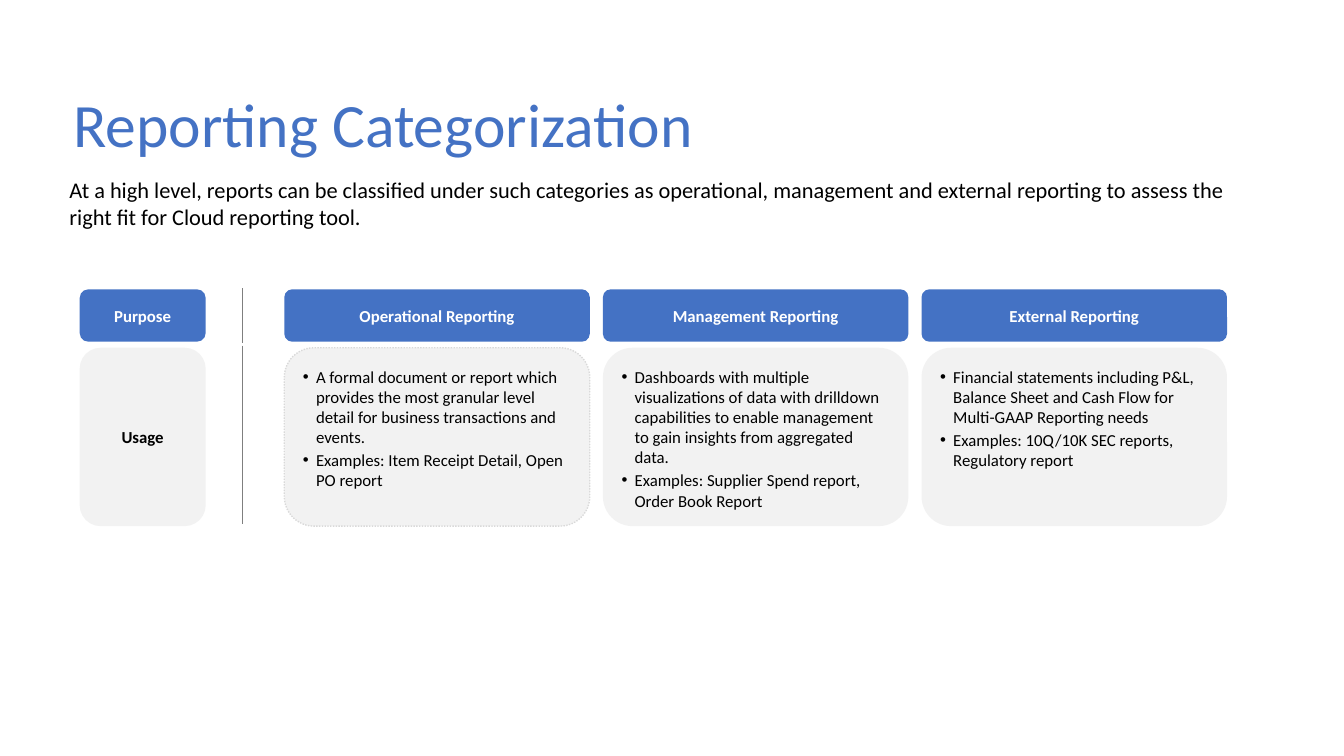
from dataclasses import dataclass

from pptx import Presentation
from pptx.dml.color import RGBColor as Rgb
from pptx.enum.dml import MSO_LINE as Dash
from pptx.enum.shapes import MSO_CONNECTOR as Conn, MSO_SHAPE as Shape
from pptx.enum.text import MSO_ANCHOR as Anchor, PP_ALIGN as Align
from pptx.oxml.ns import qn
from pptx.util import Inches, Pt
from lxml.etree import SubElement


@dataclass(frozen=True)
class Theme:
    """Colours, type sizes and font of the slide."""
    blue: str = "4472C4"
    pale: str = "F2F2F2"
    edge: str = "D9D9D9"
    rule: str = "7F7F7F"
    black: str = "000000"
    white: str = "FFFFFF"
    font: str = "Calibri"
    title: int = 44
    lead: int = 16
    body: int = 12


THEME = Theme()
HEAD_TOP, HEAD_TALL = 2.87, 0.52
BODY_TOP, BODY_TALL = 3.45, 1.77
LABEL_LEFT, LABEL_WIDE = 0.79, 1.25
COL_LEFT, COL_WIDE, COL_STEP = 2.82, 3.03, 3.16
RULE_LEFT = 2.41

COLUMNS = [
    ("Operational Reporting", [
        "A formal document or report which provides the most granular level "
        "detail for business transactions and events.",
        "Examples: Item Receipt Detail, Open PO report"]),
    ("Management Reporting", [
        "Dashboards with multiple visualizations of data with drilldown "
        "capabilities to enable management to gain insights from aggregated data.",
        "Examples: Supplier Spend report, Order Book Report"]),
    ("External Reporting", [
        "Financial statements including P&L, Balance Sheet and Cash Flow for "
        "Multi-GAAP Reporting needs",
        "Examples: 10Q/10K SEC reports, Regulatory report"]),
]


def style(para, size, color, bold=False):
    """Set the font of a paragraph."""
    font = para.font
    font.name, font.size, font.bold = THEME.font, Pt(size), bold
    font.color.rgb = Rgb.from_string(color)


def add_text(slide, text, box, size, color, anchor=Anchor.TOP):
    """Add a wrapped text box with one paragraph and return the paragraph."""
    frame = slide.shapes.add_textbox(*map(Inches, box)).text_frame
    frame.word_wrap = True
    frame.vertical_anchor = anchor
    para = frame.paragraphs[0]
    para.text = text
    style(para, size, color)
    return para


def add_card(slide, box, fill):
    """Add a plain rounded card with even margins."""
    card = slide.shapes.add_shape(Shape.ROUNDED_RECTANGLE, *map(Inches, box))
    card.shadow.inherit = False
    card.fill.solid()
    card.fill.fore_color.rgb = Rgb.from_string(fill)
    card.line.fill.background()
    frame = card.text_frame
    frame.word_wrap = True
    frame.margin_left = frame.margin_right = Inches(0.1)
    frame.margin_top = frame.margin_bottom = Inches(0.1)
    return card


def add_label(slide, text, box, fill, color):
    """Add a card with a bold centred label."""
    card = add_card(slide, box, fill)
    card.text_frame.vertical_anchor = Anchor.MIDDLE
    para = card.text_frame.paragraphs[0]
    para.text = text
    para.alignment = Align.CENTER
    style(para, THEME.body, color, True)
    return card


def add_list(slide, items, box):
    """Add a pale card with a bulleted list."""
    card = add_card(slide, box, THEME.pale)
    frame = card.text_frame
    frame.vertical_anchor = Anchor.TOP
    for num, item in enumerate(items):
        para = frame.add_paragraph() if num else frame.paragraphs[0]
        para.text = item
        para.alignment = Align.LEFT
        para.space_before = Pt(1 if num else 0)
        para.space_after = Pt(1)
        props = para._p.get_or_add_pPr()
        props.set("marL", str(Inches(0.13)))
        props.set("indent", str(-Inches(0.13)))
        SubElement(props, qn("a:buFont"), typeface="Arial")
        SubElement(props, qn("a:buChar"), char="•")
        style(para, THEME.body, THEME.black)
    return card


def add_rule(slide, left, top, end):
    """Add a thin vertical line."""
    line = slide.shapes.add_connector(
        Conn.STRAIGHT, *map(Inches, (left, top, left, end)))
    line.line.color.rgb = Rgb.from_string(THEME.rule)
    line.line.width = Pt(0.75)
    SubElement(line._element.spPr, qn("a:effectLst"))


def main():
    """Build the slide and save it."""
    deck = Presentation()
    deck.slide_width, deck.slide_height = Inches(13.33), Inches(7.5)
    slide = deck.slides.add_slide(deck.slide_layouts[6])

    title = add_text(slide, "Reporting Categorization", (0.63, 0.83, 11.46, 0.87),
                     THEME.title, THEME.blue, Anchor.MIDDLE)
    title.line_spacing = 0.9
    add_text(slide, "At a high level, reports can be classified under such "
             "categories as operational, management and external reporting to "
             "assess the right fit for Cloud reporting tool.",
             (0.59, 1.7, 12.11, 0.64), THEME.lead, THEME.black)

    add_label(slide, "Purpose", (LABEL_LEFT, HEAD_TOP, LABEL_WIDE, HEAD_TALL),
              THEME.blue, THEME.white)
    add_label(slide, "Usage", (LABEL_LEFT, BODY_TOP, LABEL_WIDE, BODY_TALL),
              THEME.pale, THEME.black)
    add_rule(slide, RULE_LEFT, 2.86, 3.4)
    add_rule(slide, RULE_LEFT, 3.43, 5.2)

    for num, (name, items) in enumerate(COLUMNS):
        left = COL_LEFT + num * COL_STEP
        head = add_label(slide, name, (left, HEAD_TOP, COL_WIDE, HEAD_TALL),
                         THEME.blue, THEME.white)
        head.adjustments[0] = 0.15
        card = add_list(slide, items, (left, BODY_TOP, COL_WIDE, BODY_TALL))
        if num == 0:
            card.line.color.rgb = Rgb.from_string(THEME.edge)
            card.line.width = Pt(1)
            card.line.dash_style = Dash.ROUND_DOT

    deck.save("out.pptx")


if __name__ == "__main__":
    main()
